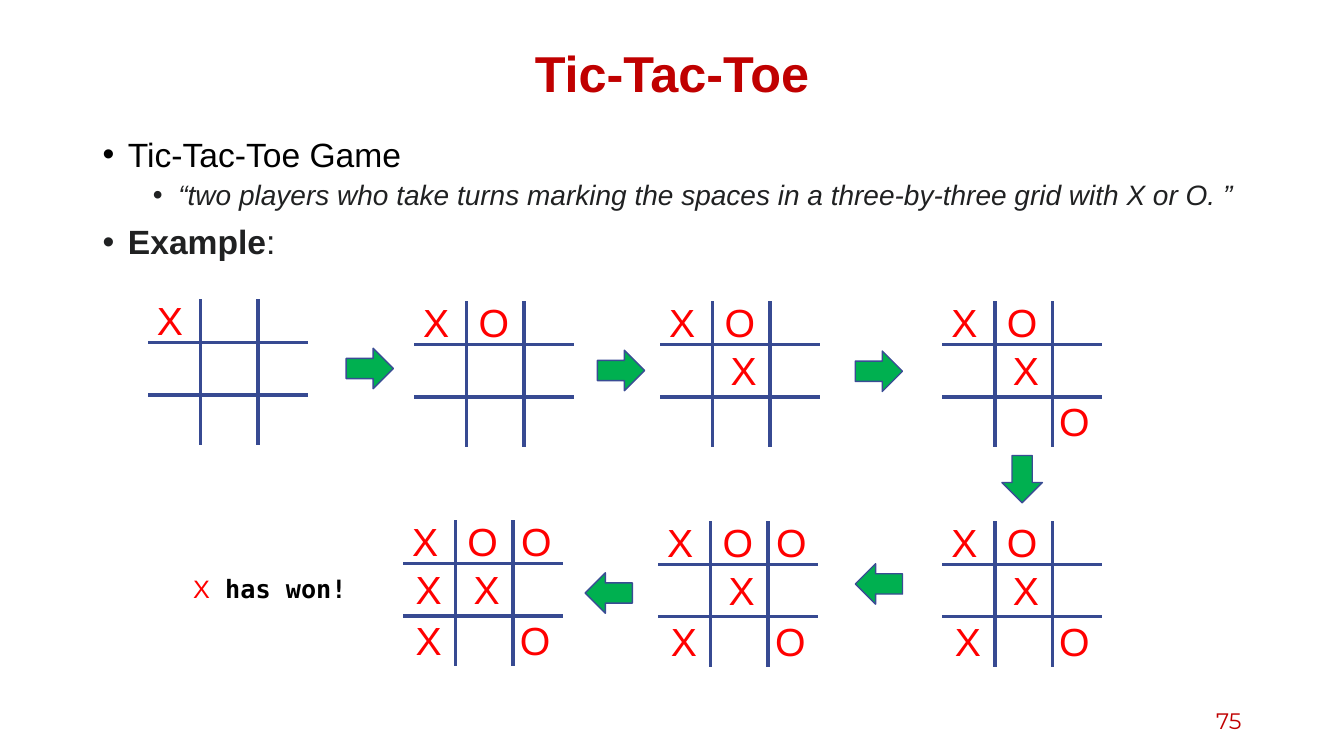
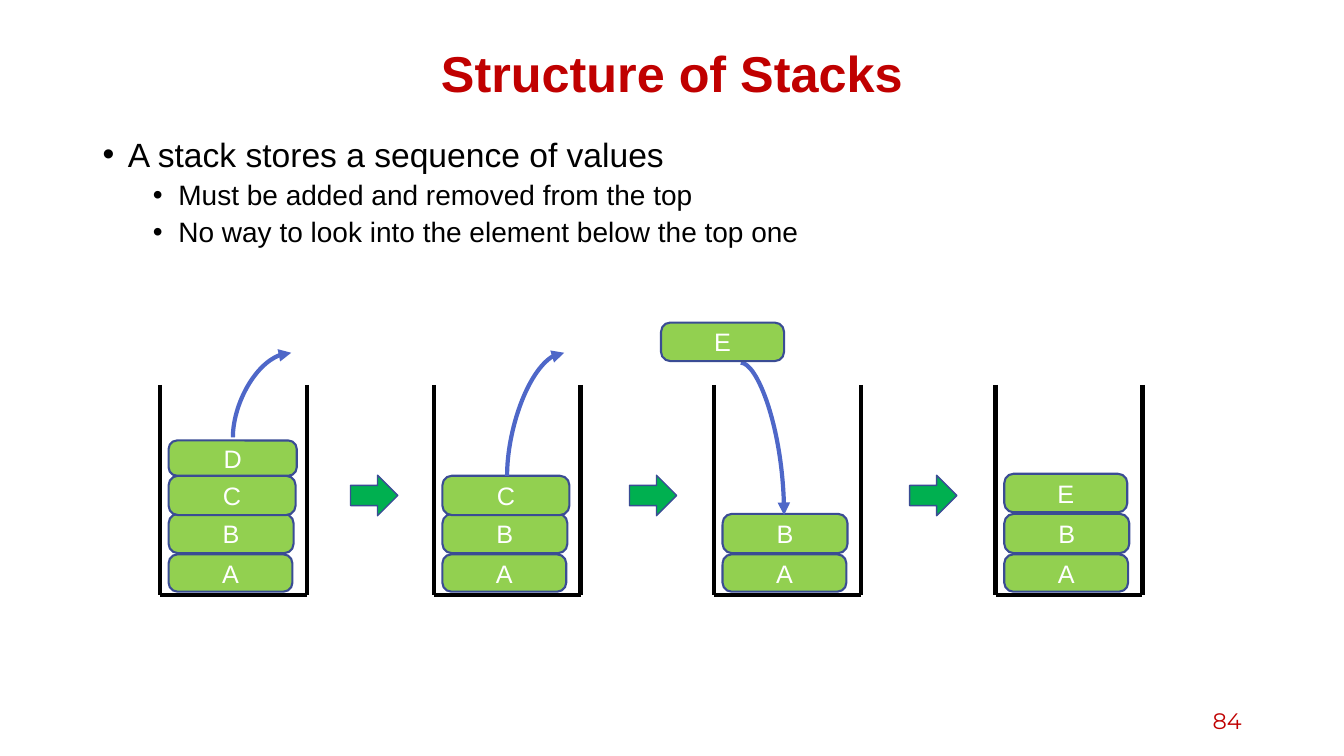
from dataclasses import dataclass

from lxml.etree import SubElement as sub
from pptx import Presentation
from pptx.dml.color import RGBColor as Rgb
from pptx.enum.shapes import MSO_CONNECTOR as Link, MSO_SHAPE as Kind
from pptx.enum.text import MSO_ANCHOR as Anchor, MSO_AUTO_SIZE as Fit, PP_ALIGN as Align
from pptx.oxml.ns import qn
from pptx.util import Cm, Pt

# Shared colours and fonts
RED, BLACK, INK, WHITE = "C00000", "000000", "202122", "FFFFFF"
MARK, GRID, EDGE, CURVE = "FF0000", "374A92", "3A4C94", "4E67C8"
GREEN, LIME = "00B050", "92D050"
SANS, MONO, NUMBER = "Arial", "DejaVu Sans Mono", "Montserrat"

# Frames as left, top, width, height (all lengths in cm)
TITLE = (2.33, 1.02, 29.21, 1.78)
BODY = (2.33, 3.35, 29.21, 14)
FOOT = (23.92, 17.65, 7.62, 1.02)

# Board measures: line offsets, and mark offsets per row
SPAN, RISE = 4.02, 3.68
ACROSS, DOWN = (1.09, 2.41), (1.32, 2.77)
TOP_X, LOW_X = (-0.41, 1.04, 2.39), (-0.32, 1.14, 2.36)
SPOTS = ((-0.2, TOP_X), (1.02, LOW_X), (2.3, LOW_X))

# Bin measures, and top, width, height of each stacked block
RIM, FLOOR, WIDE, GAP = 9.7, 14.99, 3.7, 0.22
SIZES = {
    "A": (13.97, 3.12, 0.94),
    "B": (12.95, 3.15, 0.99),
    "C": (11.99, 3.2, 0.99),
    "D": (11.1, 3.23, 0.89),
    "E": (11.94, 3.1, 0.97),
}


@dataclass(frozen=True)
class Item:
    text: str
    level: int = 0
    color: str = BLACK
    slant: bool = False
    strong: str = ""


@dataclass(frozen=True)
class Board:
    x: float
    y: float
    rows: tuple[str, str, str]


@dataclass(frozen=True)
class Arrow:
    x: float
    y: float
    turn: int = 270


@dataclass(frozen=True)
class Bin:
    x: float
    blocks: str


BOARDS = (
    Board(3.73, 7.54, ("X..", "...", "...")),
    Board(10.44, 7.59, ("XO.", "...", "...")),
    Board(16.64, 7.59, ("XO.", ".X.", "...")),
    Board(23.75, 7.59, ("XO.", ".X.", "..O")),
    Board(23.75, 13.13, ("XO.", ".X.", "X.O")),
    Board(16.59, 13.13, ("XOO", ".X.", "X.O")),
    Board(10.16, 13.11, ("XOO", "XX.", "X.O")),
)
MOVES = (
    Arrow(8.81, 8.69), Arrow(15.14, 8.74), Arrow(21.64, 8.76),
    Arrow(25.25, 11.48, 0), Arrow(21.64, 14.12, 90), Arrow(14.83, 14.35, 90),
)
BINS = (Bin(4.03, "ABCD"), Bin(10.93, "ABC"), Bin(17.99, "AB"), Bin(25.09, "ABE"))
STEPS = tuple(Arrow(x, 11.89) for x in (8.92, 15.95, 23.01))
# Each curve: start, two control points, end
CURVES = (
    ((5.87, 11.02), (5.87, 10.24), (6.53, 8.89), (7.34, 8.89)),
    ((12.78, 11.99), (12.78, 10.85), (13.44, 8.89), (14.22, 8.89)),
    ((18.67, 9.14), (19.08, 9.14), (19.76, 10.87), (19.76, 12.98)),
)


def rgb(code: str) -> Rgb:
    return Rgb.from_string(code)


def frame(box: tuple) -> tuple:
    return tuple(Cm(n) for n in box)


def style(font, size: float, color: str, name: str = SANS, bold: bool = False) -> None:
    font.size, font.name, font.bold = Pt(size), name, bold
    font.color.rgb = rgb(color)


def stroke(line, color: str, width: float) -> None:
    line.color.rgb = rgb(color)
    line.width = Pt(width)


def place(shape, box: tuple) -> None:
    shape.left, shape.top, shape.width, shape.height = frame(box)


# Text parts
def label(shapes, box: tuple, text: str, size: float, color: str,
          name: str = SANS, align=Align.CENTER, anchor=Anchor.TOP):
    part = shapes.add_textbox(*frame(box))
    part.text_frame.word_wrap = True
    part.text_frame.vertical_anchor = anchor
    para = part.text_frame.paragraphs[0]
    para.text, para.alignment = text, align
    style(para.font, size, color, name)
    return para


def bullet(para, item: Item) -> None:
    if item.strong:
        para.add_run().text = item.strong
        para.runs[0].font.bold = True
    para.add_run().text = item.text
    para.level = item.level
    para.line_spacing = 0.9
    para.space_before = Pt(5 if item.level else 10)
    style(para.font, 20 if item.level else 24, item.color)
    para.font.italic = item.slant
    props = para._p.get_or_add_pPr()
    props.set("marL", str(Cm(1.91 if item.level else 0.64)))
    props.set("indent", str(-Cm(0.64)))
    mark = sub(props, qn("a:buFont"))
    mark.set("typeface", SANS)
    sub(props, qn("a:buChar")).set("char", "•")
    # Bullets come before the default run style
    props.append(props.find(qn("a:defRPr")))


def page(deck, title: str, items: tuple[Item, ...], number: str):
    slide = deck.slides.add_slide(deck.slide_layouts[1])
    head, body = slide.placeholders
    place(head, TITLE)
    head.text_frame.text = title
    head.text_frame.vertical_anchor = Anchor.MIDDLE
    head.text_frame.auto_size = Fit.NONE
    para = head.text_frame.paragraphs[0]
    para.alignment, para.line_spacing = Align.CENTER, 0.9
    style(para.font, 36, RED, bold=True)
    place(body, BODY)
    body.text_frame.auto_size = Fit.NONE
    for i, item in enumerate(items):
        frame_ = body.text_frame
        bullet(frame_.add_paragraph() if i else frame_.paragraphs[0], item)
    label(slide.shapes, FOOT, number, 16, RED, NUMBER, Align.RIGHT, Anchor.MIDDLE)
    return slide.shapes


# Drawn parts
def rule(shapes, x1: float, y1: float, x2: float, y2: float,
         color: str, width: float) -> None:
    line = shapes.add_connector(Link.STRAIGHT, *frame((x1, y1, x2, y2)))
    stroke(line.line, color, width)
    sub(line.element.spPr, qn("a:effectLst"))


def solid(shapes, kind, box: tuple, fill: str, width: float):
    shape = shapes.add_shape(kind, *frame(box))
    shape.shadow.inherit = False
    shape.fill.solid()
    shape.fill.fore_color.rgb = rgb(fill)
    stroke(shape.line, EDGE, width)
    return shape


def arrow(shapes, spot: Arrow) -> None:
    shape = solid(shapes, Kind.DOWN_ARROW, (spot.x, spot.y, 1.02, 1.19), GREEN, 1)
    shape.rotation = spot.turn


def board(shapes, game: Board) -> None:
    group = shapes.add_group_shape().shapes
    x, y = game.x, game.y
    for dy in ACROSS:
        rule(group, x, y + dy, x + SPAN, y + dy, GRID, 2.5)
    for dx in DOWN:
        rule(group, x + dx, y, x + dx, y + RISE, GRID, 2.5)
    for row, (dy, cols) in zip(game.rows, SPOTS):
        for sign, dx in zip(row, cols):
            if sign != ".":
                label(group, (x + dx, y + dy, 1.93, 1.45), sign, 28, MARK)


def block(shapes, x: float, y: float, name: str) -> None:
    _, wide, high = SIZES[name]
    shape = solid(shapes, Kind.ROUNDED_RECTANGLE, (x, y, wide, high), LIME, 1.5)
    shape.adjustments[0] = 0.24
    para = shape.text_frame.paragraphs[0]
    para.text, para.alignment = name, Align.CENTER
    style(para.font, 18, WHITE)


def stack(shapes, unit: Bin) -> None:
    group = shapes.add_group_shape().shapes
    left, right = unit.x, unit.x + WIDE
    for x in (left, right):
        rule(group, x, RIM, x, FLOOR, BLACK, 3)
    rule(group, left, FLOOR, right, FLOOR, BLACK, 3)
    for name in unit.blocks:
        block(group, left + GAP, SIZES[name][0], name)


def curve(shapes, points: tuple) -> None:
    start, *rest = [frame(p) for p in points]
    pen = shapes.build_freeform(*start)
    pen.add_line_segments(rest, close=False)
    shape = pen.convert_to_shape()
    shape.shadow.inherit = False
    shape.fill.background()
    stroke(shape.line, CURVE, 3)
    # Turn the three segments into one Bézier curve with an arrowhead
    legs = list(shape.element.iter(qn("a:lnTo")))
    trace = legs[0].getparent()
    bend = sub(trace, qn("a:cubicBezTo"))
    for leg in legs:
        bend.append(leg[0])
        trace.remove(leg)
    sub(shape.element.spPr.find(qn("a:ln")), qn("a:tailEnd")).set("type", "triangle")


# Slides
def game_page(deck) -> None:
    shapes = page(deck, "Tic-Tac-Toe", (
        Item("Tic-Tac-Toe Game"),
        Item("“two players who take turns marking the spaces in a "
             "three-by-three grid with X or O. ”", 1, INK, True),
        Item(":", color=INK, strong="Example"),
    ), "75")
    for game in BOARDS:
        board(shapes, game)
    for spot in MOVES:
        arrow(shapes, spot)
    para = label(shapes, (4.62, 14.33, 5.21, 1.02), "X", 18, MARK, align=Align.LEFT)
    run = para.add_run()
    run.text = " has won!"
    style(run.font, 18, BLACK, MONO, True)


def stack_page(deck) -> None:
    shapes = page(deck, "Structure of Stacks", (
        Item("A stack stores a sequence of values"),
        Item("Must be added and removed from the top", 1),
        Item("No way to look into the element below the top one", 1),
    ), "84")
    for unit in BINS:
        stack(shapes, unit)
    for points in CURVES:
        curve(shapes, points)
    block(shapes, 16.66, 8.13, "E")
    for spot in STEPS:
        arrow(shapes, spot)


def main() -> None:
    deck = Presentation()
    deck.slide_width, deck.slide_height = Cm(33.87), Cm(19.05)
    game_page(deck)
    stack_page(deck)
    deck.save("out.pptx")


if __name__ == "__main__":
    main()
